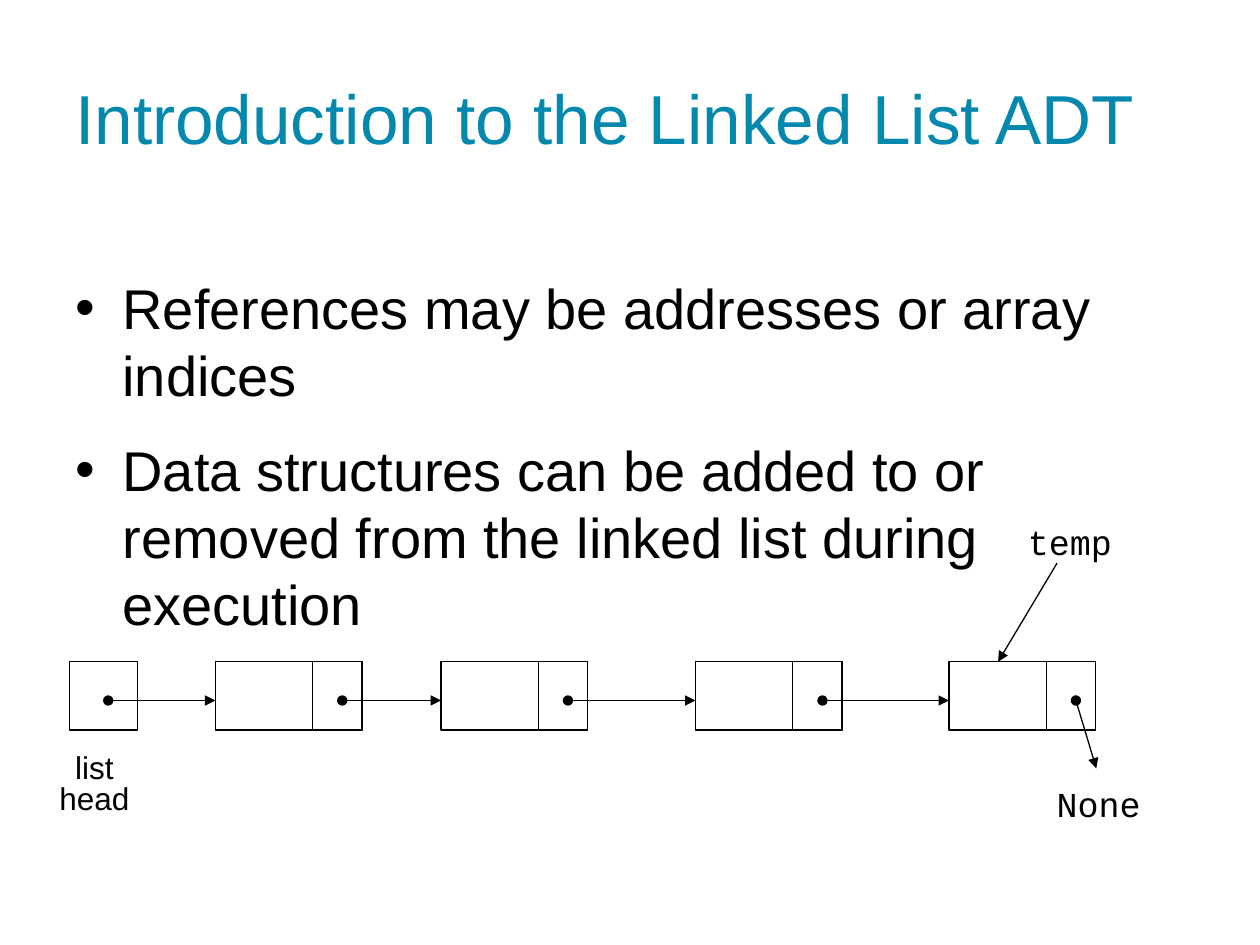
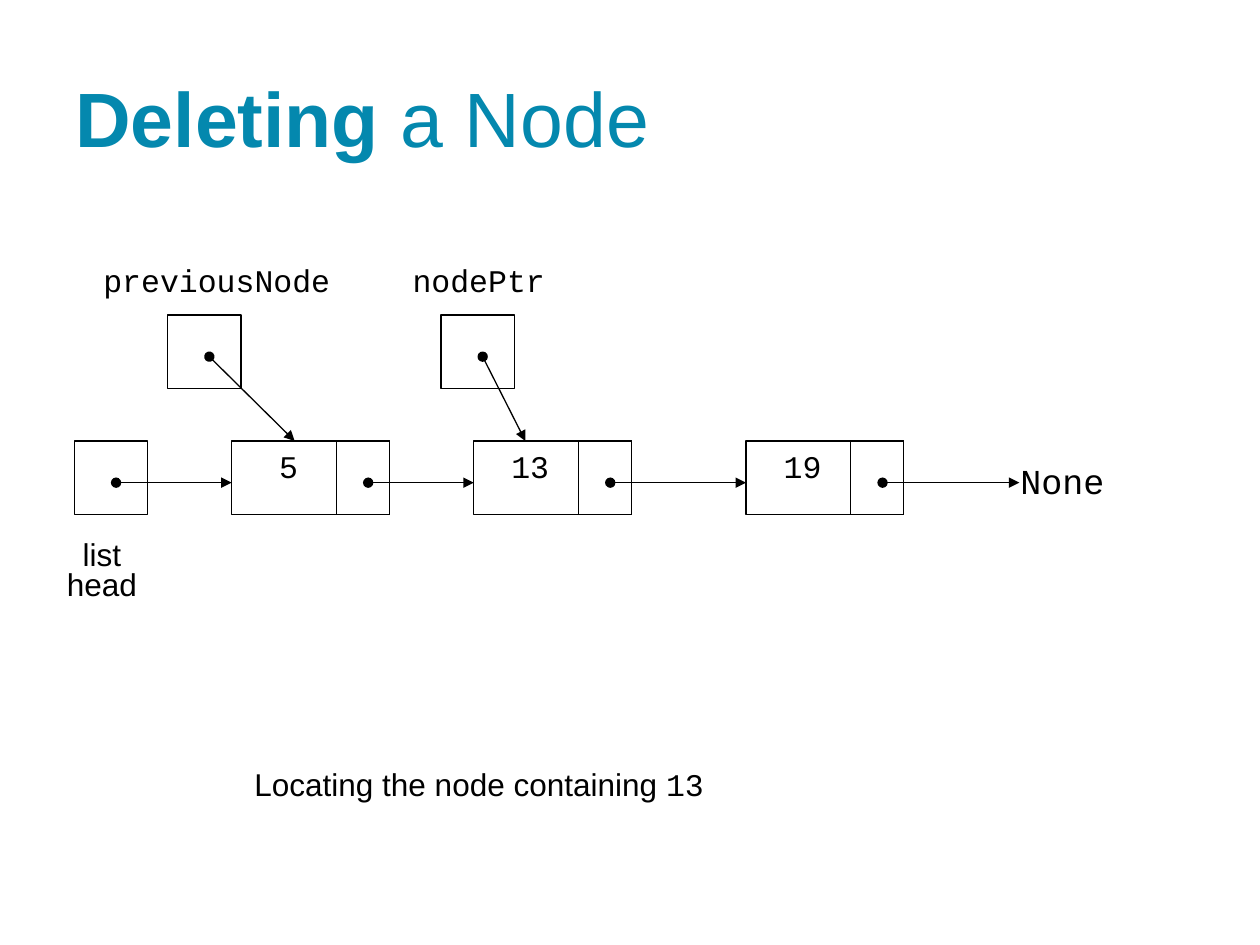
from lxml.etree import SubElement
from pptx import Presentation
from pptx.dml.color import RGBColor
from pptx.enum.shapes import MSO_CONNECTOR, MSO_SHAPE
from pptx.enum.text import MSO_ANCHOR, PP_ALIGN
from pptx.oxml.ns import qn
from pptx.util import Cm, Pt

COLORS = {"title": "0488AE", "ink": "000000"}
SANS, MONO = "Arial", "Courier New"
LINE_WIDTH = Pt(0.75)

FORMATS = {
    "title": {"name": SANS, "size": Pt(44)},
    "long title": {"name": SANS, "size": Pt(39.6)},
    "body": {"name": SANS, "size": Pt(32)},
    "label": {"name": SANS, "size": Pt(18)},
    "code": {"name": MONO, "size": Pt(18)},
    "large code": {"name": MONO, "size": Pt(20)},
}
CENTERED = {"alignment": PP_ALIGN.CENTER}
TIGHT = {"alignment": PP_ALIGN.CENTER, "line_spacing": 0.8}
LOOSE = {"alignment": PP_ALIGN.CENTER, "line_spacing": 1.2}
TITLE_PLACE = (1.27, 0.76, 22.86, 3.18)

CELL, NODE, LINK, DOT = 1.48, 3.18, 1.07, 0.84


def add_text(slide, place, paragraphs, layout, color="ink", anchor=MSO_ANCHOR.TOP, bullet=False):
    shape = slide.shapes.add_textbox(*map(Cm, place))
    frame = shape.text_frame
    frame.word_wrap = True
    frame.vertical_anchor = anchor
    for index, runs in enumerate(paragraphs):
        paragraph = frame.paragraphs[0] if index == 0 else frame.add_paragraph()
        for name, value in layout.items():
            setattr(paragraph, name, value)
        if bullet:
            properties = paragraph._p.get_or_add_pPr()
            properties.set("marL", str(Cm(0.95)))
            properties.set("indent", str(-Cm(0.95)))
            if index:
                paragraph.space_before = Pt(16)
            SubElement(properties, qn("a:buFont"), typeface=SANS)
            SubElement(properties, qn("a:buChar"), char="•")
        for text, style, bold in runs:
            run = paragraph.add_run()
            run.text = text
            for name, value in FORMATS[style].items():
                setattr(run.font, name, value)
            run.font.bold = bold
            run.font.color.rgb = RGBColor.from_string(COLORS[color])


def add_arrow(slide, start, end, dotted=True):
    connector = slide.shapes.add_connector(MSO_CONNECTOR.STRAIGHT, *map(Cm, start + end))
    connector.line.width = LINE_WIDTH
    connector.line.color.rgb = RGBColor.from_string(COLORS["ink"])
    line = connector.line._get_or_add_ln()
    if dotted:
        SubElement(line, qn("a:headEnd"), type="oval")
    SubElement(line, qn("a:tailEnd"), type="triangle")
    SubElement(connector._element.spPr, qn("a:effectLst"))


presentation = Presentation()
presentation.slide_width = Cm(25.4)
presentation.slide_height = Cm(19.05)

intro = {
    "title": [("Introduction to the Linked List ADT", "long title", False)],
    "scale": 0.93, "top": 13.34, "head": 1.4,
    "nodes": [4.34, 8.89, 14.02, 19.13],
    "end": (22.1, 15.49), "none": (21.03, 15.49),
    "head label": (0.71, 15.11), "pointers": [],
}
deleting = {
    "title": [("Deleting", "title", True), (" a Node", "title", False)],
    "scale": 1, "top": 8.89, "head": 1.5,
    "nodes": [4.67, 9.55, 15.04],
    "end": (20.55, 9.73), "none": (20.3, 8.97),
    "head label": (0.86, 10.8),
    "pointers": [
        ("previousNode", 3.38, 1.07, 6.6, 5.94),
        ("nodePtr", 8.89, 7.62, 4.06, 10.59),
    ],
}

slides = []
for diagram in (intro, deleting):
    slide = presentation.slides.add_slide(presentation.slide_layouts[6])
    slides.append(slide)
    add_text(slide, TITLE_PLACE, [diagram["title"]], {}, "title", MSO_ANCHOR.MIDDLE)

    cell, node, link, dot = (size * diagram["scale"] for size in (CELL, NODE, LINK, DOT))
    top, head, nodes = diagram["top"], diagram["head"], diagram["nodes"]
    pointer_top = top - 2.54

    boxes = [(head, top, cell)]
    for left in nodes:
        boxes += [(left, top, node), (left + node - link, top, link)]
    boxes += [(left, pointer_top, cell) for _, left, *_ in diagram["pointers"]]
    for left, box_top, width in boxes:
        shape = slide.shapes.add_shape(MSO_SHAPE.RECTANGLE, *map(Cm, (left, box_top, width, cell)))
        shape.shadow.inherit = False
        shape.fill.background()
        shape.line.width = LINE_WIDTH
        shape.line.color.rgb = RGBColor.from_string(COLORS["ink"])

    starts = [head + dot] + [left + node - link * 0.4 for left in nodes]
    ends = [(left, top + dot) for left in nodes] + [diagram["end"]]
    for start, end in zip(starts, ends):
        add_arrow(slide, (start, top + dot), end)

    for name, left, label_left, label_width, target in diagram["pointers"]:
        add_arrow(slide, (left + dot, pointer_top + dot), (target, top))
        add_text(slide, (label_left, 5.28, label_width, 1.07), [[(name, "code", False)]], TIGHT)

    add_text(slide, (*diagram["none"], 2.24, 1.24), [[("None", "large code", False)]], LOOSE)
    head_lines = [[(word, "label", False)] for word in ("list", "head")]
    add_text(slide, (*diagram["head label"], 2.39, 1.88), head_lines, TIGHT)

intro_slide, deleting_slide = slides

points = [
    "References may be addresses or array indices",
    "Data structures can be added to or removed from the linked list during execution",
]
add_text(intro_slide, (1.27, 5.38, 22.23, 10.39),
         [[(point, "body", False)] for point in points], {}, bullet=True)
add_text(intro_slide, (20.45, 10.36, 2.24, 1.12), [[("temp", "large code", False)]], CENTERED)
add_arrow(intro_slide, (21.31, 11.35), (20.12, 13.34), dotted=False)

for value, left, width in (("5", 5.31, 1.02), ("13", 9.93, 1.52), ("19", 15.42, 1.52)):
    add_text(deleting_slide, (left, 8.89, width, 1.27), [[(value, "code", False)]], CENTERED)
add_text(deleting_slide, (4.88, 15.29, 12.6, 1.27),
         [[("Locating the node containing ", "label", False), ("13", "code", False)]], {})

presentation.save("out.pptx")
